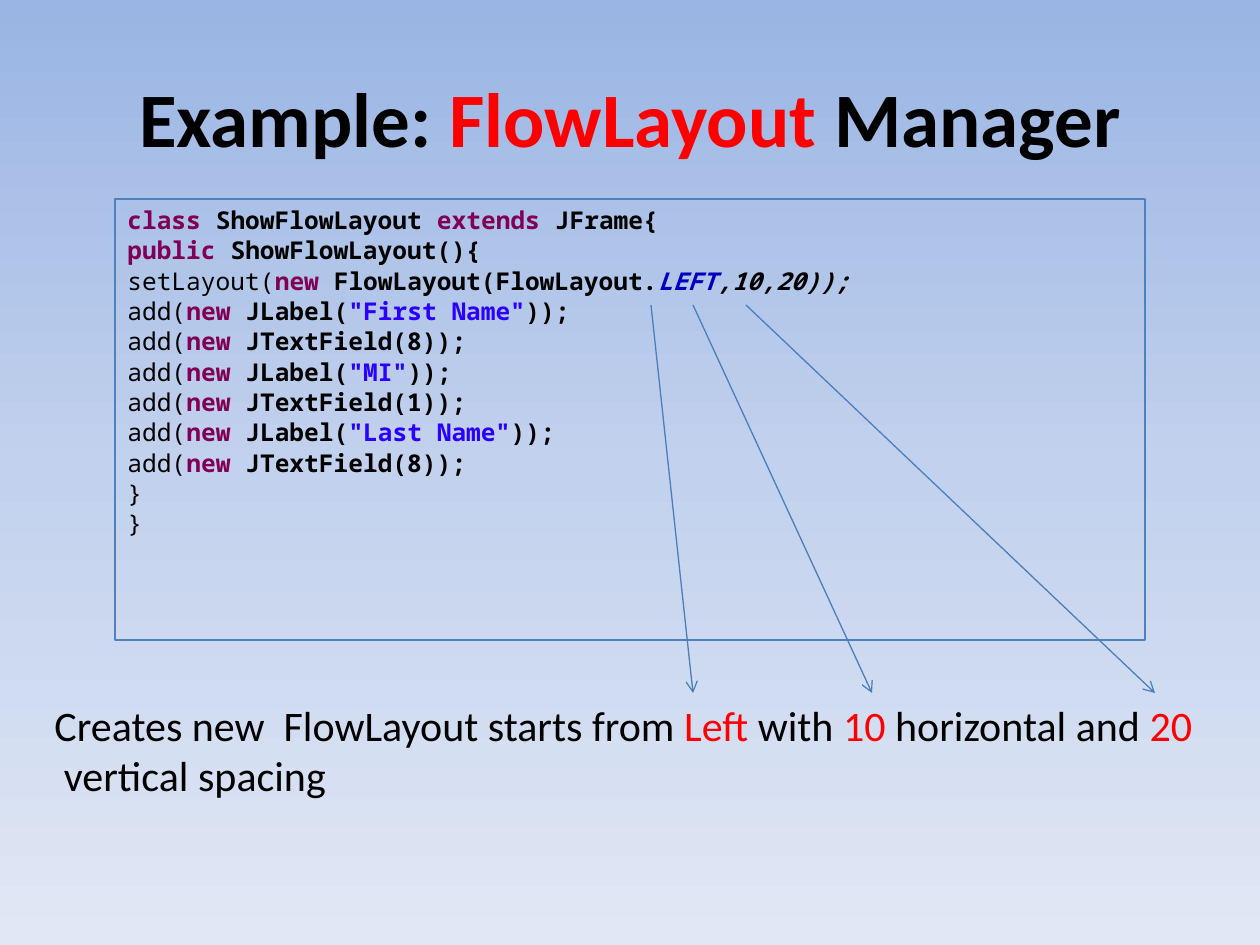
from copy import deepcopy
from dataclasses import dataclass

from lxml.etree import SubElement
from pptx import Presentation
from pptx.dml.color import RGBColor
from pptx.enum.shapes import MSO_CONNECTOR, MSO_SHAPE
from pptx.enum.text import MSO_ANCHOR, MSO_AUTO_SIZE, PP_ALIGN
from pptx.oxml.ns import qn
from pptx.util import Pt


@dataclass(frozen=True)
class Theme:
    text: str = "000000"
    accent: str = "FF0000"
    keyword: str = "7F0055"
    constant: str = "0000C0"
    string: str = "2A00FF"
    border: str = "4F81BD"
    arrow: str = "4B7EBC"
    sky: tuple = ("9AB5E4", "C2D1ED", "E1E8F5")
    sans: str = "Calibri"
    mono: str = "Noto Sans Mono"
    title_size: int = 44
    code_size: int = 14
    caption_size: int = 24
    line_width: float = 0.75


T = Theme()


def px(n):
    return round(n * 914400 / 126)


def rgb(color):
    return RGBColor.from_string(color)


def style_paragraph(p, face, size, bold=False):
    p.font.name, p.font.size, p.font.bold = face, Pt(size), bold


def add_run(p, text, color=T.text, bold=None, italic=None):
    r = p.add_run()
    r.text = text
    r.font.color.rgb = rgb(color)
    r.font.bold, r.font.italic = bold, italic


def paragraphs(tf, lines):
    """Yield one paragraph for each line, starting with the existing one."""
    for i, line in enumerate(lines):
        yield (tf.add_paragraph() if i else tf.paragraphs[0]), line


def add_text_box(s, box):
    sp = s.shapes.add_textbox(*map(px, box))
    sp.text_frame.word_wrap = True
    return sp.text_frame


def paint_background(s):
    fill = s.background.fill
    fill.gradient()
    fill.gradient_angle = 270
    # The default gradient has two stops; a third goes after them
    last = fill._fill._gradFill.gsLst[-1]
    last.addnext(deepcopy(last))
    for i, (stop, color) in enumerate(zip(fill.gradient_stops, T.sky)):
        stop.position = i / 2
        stop.color.rgb = rgb(color)


def add_title(s, box):
    tf = add_text_box(s, box)
    tf.vertical_anchor = MSO_ANCHOR.MIDDLE
    p = tf.paragraphs[0]
    p.alignment = PP_ALIGN.CENTER
    style_paragraph(p, T.sans, T.title_size, bold=True)
    add_run(p, "Example: ")
    add_run(p, "FlowLayout ", T.accent)
    add_run(p, "Manager")


def add_call(kind, *argument):
    """Code runs of one add(new ...) line."""
    return [("add(", T.text, False), ("new ", T.keyword), (kind + "(",),
            argument, ("));",)]


def add_code(s, box):
    sp = s.shapes.add_shape(MSO_SHAPE.RECTANGLE, *map(px, box))
    sp.shadow.inherit = False
    sp.fill.background()
    sp.line.color.rgb = rgb(T.border)
    sp.line.width = Pt(T.line_width)
    tf = sp.text_frame
    tf.word_wrap = True
    tf.vertical_anchor = MSO_ANCHOR.TOP
    lines = [
        [("class ", T.keyword), ("ShowFlowLayout ",),
         ("extends ", T.keyword), ("JFrame{",)],
        [("public ", T.keyword), ("ShowFlowLayout(){",)],
        [("setLayout(", T.text, False), ("new ", T.keyword),
         ("FlowLayout(FlowLayout.",), ("LEFT", T.constant, True, True),
         (",10,20));", T.text, True, True)],
        add_call("JLabel", '"First Name"', T.string),
        add_call("JTextField", "8"),
        add_call("JLabel", '"MI"', T.string),
        add_call("JTextField", "1"),
        add_call("JLabel", '"Last Name"', T.string),
        add_call("JTextField", "8"),
        [("}", T.text, False)],
        [("}", T.text, False)],
    ]
    for p, runs in paragraphs(tf, lines):
        p.alignment = PP_ALIGN.LEFT
        p.space_before = Pt(0.5)
        style_paragraph(p, T.mono, T.code_size, bold=True)
        for run in runs:
            add_run(p, *run)


def add_caption(s, box):
    tf = add_text_box(s, box)
    tf.auto_size = MSO_AUTO_SIZE.SHAPE_TO_FIT_TEXT
    lines = [
        [("Creates new  FlowLayout starts from ",), ("Left", T.accent),
         (" with ",), ("10", T.accent), (" horizontal and ",),
         ("20", T.accent)],
        [(" vertical spacing",)],
    ]
    for p, runs in paragraphs(tf, lines):
        style_paragraph(p, T.sans, T.caption_size)
        for run in runs:
            add_run(p, *run)


def add_arrows(s, top, bottom, spans):
    """Arrows from the code's arguments to the words explaining them."""
    for start, end in spans:
        c = s.shapes.add_connector(MSO_CONNECTOR.STRAIGHT,
                                   *map(px, (start, top, end, bottom)))
        c.line.color.rgb = rgb(T.arrow)
        c.line.width = Pt(T.line_width)
        SubElement(c.line._get_or_add_ln(), qn("a:tailEnd"), type="arrow")
        SubElement(c._element.spPr, qn("a:effectLst"))


def main():
    prs = Presentation()
    prs.slide_width, prs.slide_height = px(1260), px(945)
    s = prs.slides.add_slide(prs.slide_layouts[6])
    paint_background(s)
    add_title(s, (63, 38, 1134, 157))
    add_code(s, (115, 199, 1030, 441))
    add_caption(s, (42, 693, 1176, 115))
    add_arrows(s, 305, 693, [(651, 693), (693, 872), (746, 1155)])
    prs.save("out.pptx")


if __name__ == "__main__":
    main()
